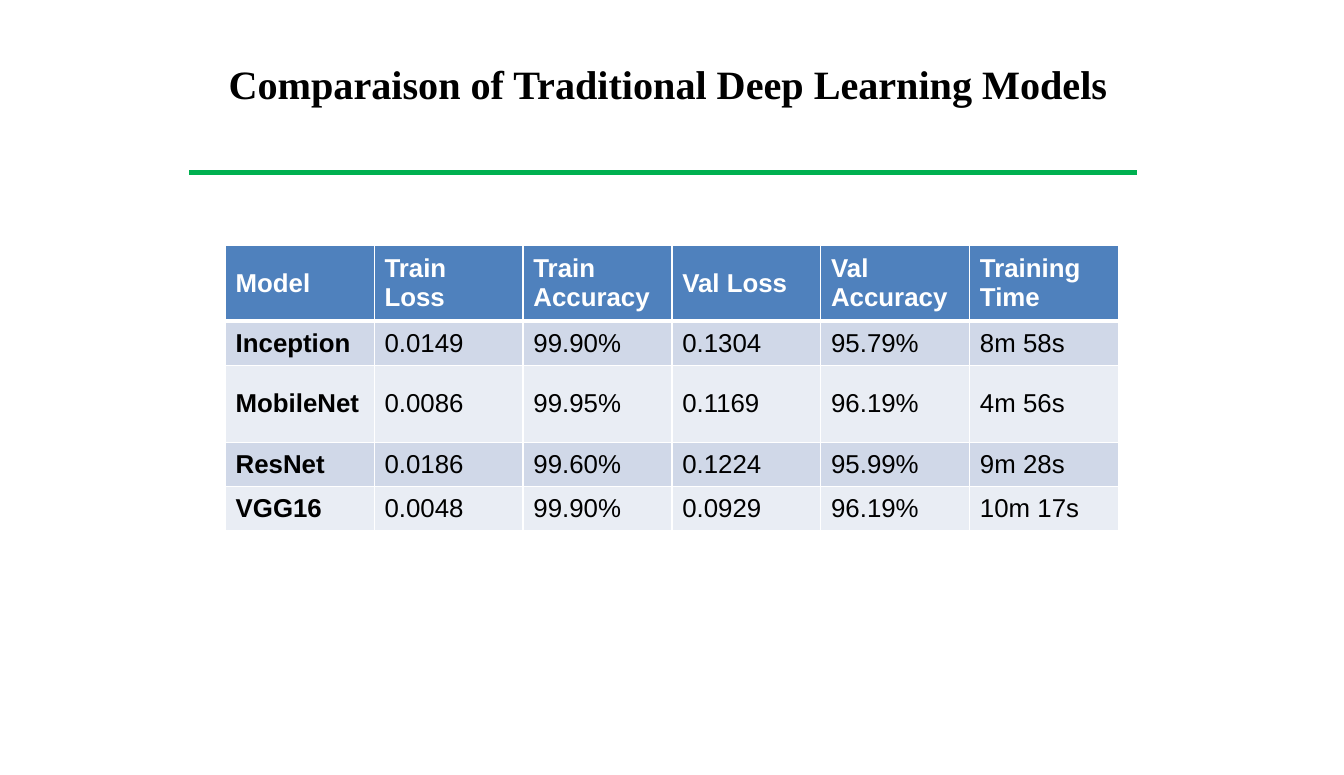
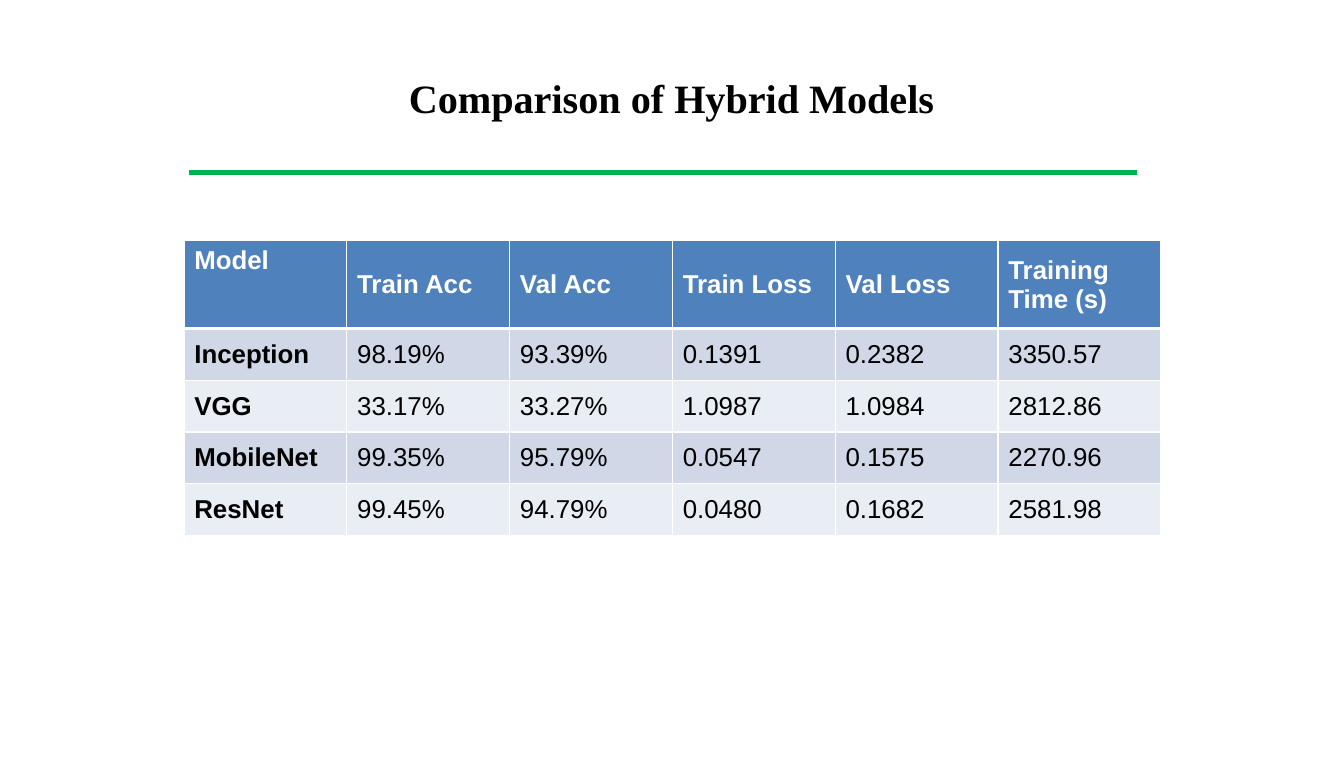
from dataclasses import dataclass

from lxml.etree import SubElement
from pptx import Presentation
from pptx.dml.color import RGBColor
from pptx.enum.shapes import MSO_CONNECTOR
from pptx.enum.text import MSO_ANCHOR, MSO_AUTO_SIZE, PP_ALIGN
from pptx.oxml import parse_xml
from pptx.oxml.ns import nsdecls, qn
from pptx.util import Emu, Pt

EMU_PER_PX = 9144  # 100 px to the inch
COLORS = {
    "black": "000000",
    "white": "FFFFFF",
    "rule": "00B050",
    "header": "4F81BD",
    "odd_row": "D0D8E8",
    "even_row": "E9EDF4",
}
TITLE_FONT, TITLE_SIZE = "Times New Roman", 28
TABLE_FONT, TABLE_SIZE = "Arial", 18
RULE_LEFT, RULE_RIGHT, RULE_TOP = 183, 1100, 167
TITLE_ONLY = 5


@dataclass(frozen=True)
class Box:
    left: int
    top: int
    width: int
    height: int

    def emu(self) -> tuple[Emu, ...]:
        return tuple(px(v) for v in (self.left, self.top, self.width, self.height))


@dataclass(frozen=True)
class Comparison:
    title: str
    title_box: Box
    table_box: Box
    row_heights: tuple[int, ...]
    rows: tuple[tuple[str, ...], ...]
    corner_anchor: MSO_ANCHOR = MSO_ANCHOR.MIDDLE


COMPARISONS = (
    Comparison(
        title="Comparaison of Traditional Deep Learning Models",
        title_box=Box(130, 52, 1032, 57),
        table_box=Box(218, 237, 864, 277),
        row_heights=(74, 43, 74, 43, 43),
        rows=(
            ("Model", "Train Loss", "Train Accuracy", "Val Loss", "Val Accuracy", "Training Time"),
            ("Inception", "0.0149", "99.90%", "0.1304", "95.79%", "8m 58s"),
            ("MobileNet", "0.0086", "99.95%", "0.1169", "96.19%", "4m 56s"),
            ("ResNet", "0.0186", "99.60%", "0.1224", "95.99%", "9m 28s"),
            ("VGG16", "0.0048", "99.90%", "0.0929", "96.19%", "10m 17s"),
        ),
    ),
    Comparison(
        title="Comparison of Hybrid Models",
        title_box=Box(311, 66, 677, 57),
        table_box=Box(178, 233, 945, 285),
        row_heights=(85, 50, 50, 50, 50),
        rows=(
            ("Model", "Train Acc", "Val Acc", "Train Loss", "Val Loss", "Training Time (s)"),
            ("Inception", "98.19%", "93.39%", "0.1391", "0.2382", "3350.57"),
            ("VGG", "33.17%", "33.27%", "1.0987", "1.0984", "2812.86"),
            ("MobileNet", "99.35%", "95.79%", "0.0547", "0.1575", "2270.96"),
            ("ResNet", "99.45%", "94.79%", "0.0480", "0.1682", "2581.98"),
        ),
        corner_anchor=MSO_ANCHOR.TOP,
    ),
)


def px(length: int) -> Emu:
    return Emu(length * EMU_PER_PX)


def color(name: str) -> RGBColor:
    return RGBColor.from_string(COLORS[name])


def add_run(paragraph, text: str, font: str, size: int, ink: str, bold: bool) -> None:
    run = paragraph.add_run()
    run.text = text
    run.font.name = font
    run.font.size = Pt(size)
    run.font.bold = bold
    run.font.color.rgb = color(ink)


def set_title(slide, text: str, box: Box) -> None:
    title = slide.shapes.title
    title.left, title.top, title.width, title.height = box.emu()
    frame = title.text_frame
    frame.word_wrap = True
    frame.auto_size = MSO_AUTO_SIZE.SHAPE_TO_FIT_TEXT
    frame.vertical_anchor = MSO_ANCHOR.TOP
    paragraph = frame.paragraphs[0]
    paragraph.alignment = PP_ALIGN.CENTER
    add_run(paragraph, text, TITLE_FONT, TITLE_SIZE, "black", True)


def add_title_rule(slide) -> None:
    rule = slide.shapes.add_connector(
        MSO_CONNECTOR.STRAIGHT, px(RULE_LEFT), px(RULE_TOP), px(RULE_RIGHT), px(RULE_TOP)
    )
    rule.line.color.rgb = color("rule")
    rule.line.width = Pt(3.25)
    SubElement(rule._element.spPr, qn("a:effectLst"))


def set_borders(cell, top: int, bottom: int) -> None:
    """Draw white borders; top and bottom widths are in points."""
    properties = cell._tc.get_or_add_tcPr()
    widths = {"lnL": 1, "lnR": 1, "lnT": top, "lnB": bottom}
    for position, (side, width) in enumerate(widths.items()):
        border = parse_xml(
            f'<a:{side} {nsdecls("a")} w="{Pt(width)}"><a:solidFill>'
            f'<a:srgbClr val="{COLORS["white"]}"/></a:solidFill></a:{side}>'
        )
        properties.insert(position, border)


def row_fill(row: int) -> str:
    if row == 0:
        return "header"
    return "odd_row" if row % 2 else "even_row"


def add_results_table(slide, comparison: Comparison) -> None:
    rows, box = comparison.rows, comparison.table_box
    column_count = len(rows[0])
    table = slide.shapes.add_table(len(rows), column_count, *box.emu()).table
    for column in table.columns:
        column.width = px(box.width) // column_count
    for r, (values, height) in enumerate(zip(rows, comparison.row_heights)):
        table.rows[r].height = px(height)
        is_header = r == 0
        for c, value in enumerate(values):
            cell = table.cell(r, c)
            cell.vertical_anchor = MSO_ANCHOR.MIDDLE
            cell.fill.solid()
            cell.fill.fore_color.rgb = color(row_fill(r))
            set_borders(cell, top=3 if r == 1 else 1, bottom=3 if is_header else 1)
            add_run(
                cell.text_frame.paragraphs[0], value, TABLE_FONT, TABLE_SIZE,
                "white" if is_header else "black", is_header or c == 0,
            )
    table.cell(0, 0).vertical_anchor = comparison.corner_anchor


def main() -> None:
    deck = Presentation()
    deck.slide_width, deck.slide_height = px(1300), px(750)
    for comparison in COMPARISONS:
        slide = deck.slides.add_slide(deck.slide_layouts[TITLE_ONLY])
        add_title_rule(slide)
        add_results_table(slide, comparison)
        set_title(slide, comparison.title, comparison.title_box)
    deck.save("out.pptx")


if __name__ == "__main__":
    main()
